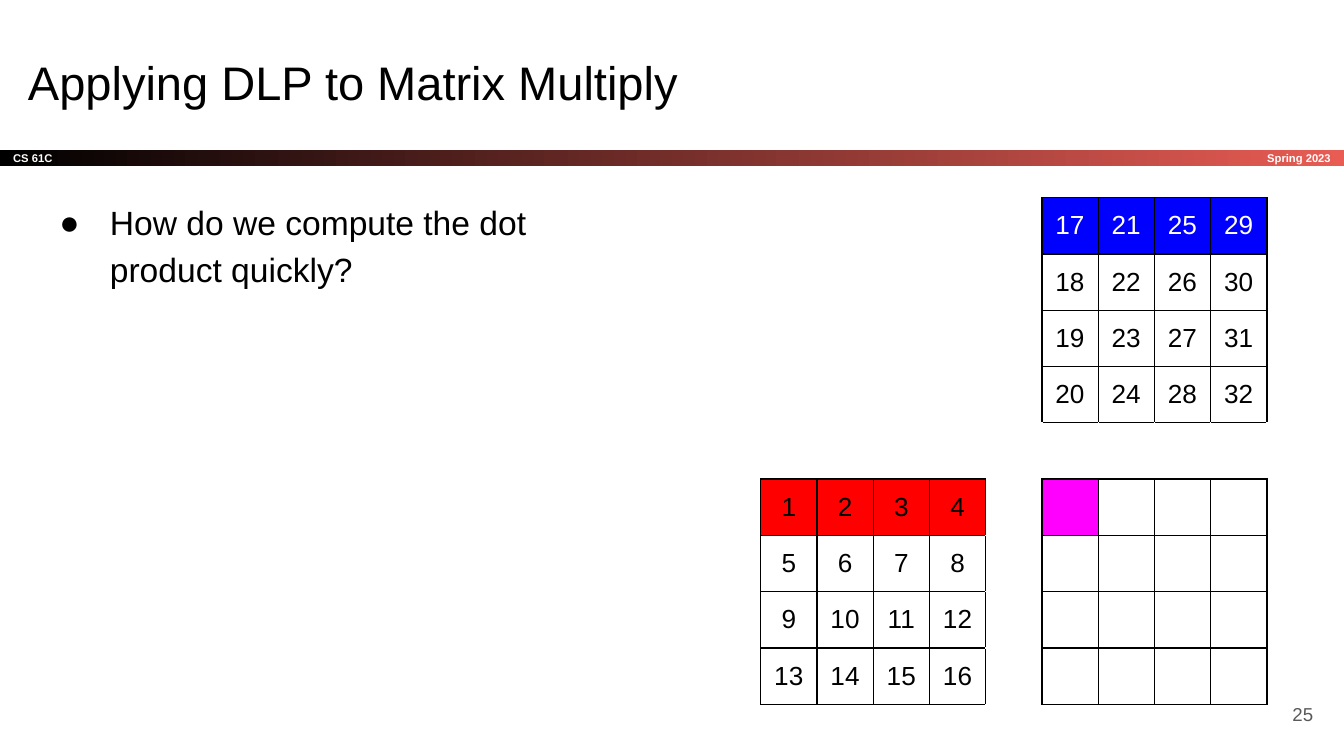
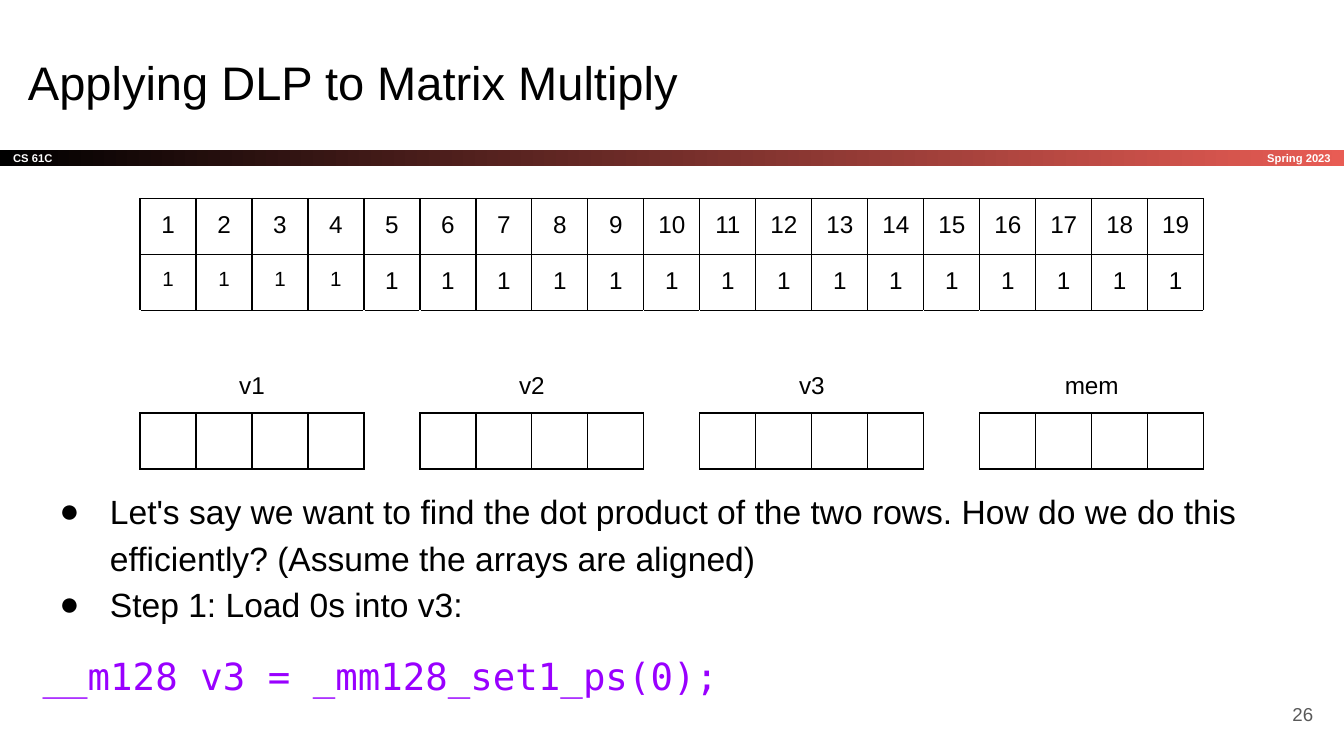
from lxml import etree
from pptx import Presentation
from pptx.dml.color import RGBColor
from pptx.enum import shapes, text
from pptx.oxml import ns
from pptx.util import Pt

hue = RGBColor.from_string
SANS, MONO = "Arial", "DejaVu Sans Mono"
BLACK, WHITE, CORAL, GREY = "000000", "FFFFFF", "E85C54", "595959"
BLUE, RED, PINK, PURPLE = "0000FF", "FF0000", "FF00FF", "9900FF"
LEFT, MID, RIGHT = text.PP_ALIGN.LEFT, text.PP_ALIGN.CENTER, text.PP_ALIGN.RIGHT
TOP, CORE, LOW = text.MSO_ANCHOR.TOP, text.MSO_ANCHOR.MIDDLE, text.MSO_ANCHOR.BOTTOM


def write(para, words, size, color=BLACK, align=LEFT, font=SANS, bold=False):
    para.alignment = align
    run = para.add_run()
    run.text = words
    run.font.name = font
    run.font.size = Pt(size)
    run.font.bold = bold
    run.font.color.rgb = hue(color)


def grid(slide, x, y, wide, highs, data, size, fills, inks):
    rows, cols = len(data), len(data[0])
    table = slide.shapes.add_table(
        rows, cols, Pt(x), Pt(y), Pt(wide * cols), Pt(sum(highs))).table
    table.first_row = table.horz_banding = False
    for col in table.columns:
        col.width = Pt(wide)
    for row, high in zip(table.rows, highs):
        row.height = Pt(high)
    boxed = {(r, c) for r in range(rows) for c in range(cols)
             if data[r][c] is not None}
    sides = {"lnL": (0, -1), "lnR": (0, 1), "lnT": (-1, 0), "lnB": (1, 0)}
    for r in range(rows):
        for c in range(cols):
            cell = table.cell(r, c)
            props = cell._tc.get_or_add_tcPr()
            for side, (down, over) in sides.items():
                edge = boxed & {(r, c), (r + down, c + over)}
                line = etree.SubElement(props, ns.qn("a:" + side), w=str(Pt(0.75)))
                solid = etree.SubElement(line, ns.qn("a:solidFill"))
                etree.SubElement(solid, ns.qn("a:srgbClr"), val=BLACK if edge else WHITE)
            if (r, c) in fills:
                cell.fill.solid()
                cell.fill.fore_color.rgb = hue(fills[r, c])
            else:
                cell.fill.background()
            pad = Pt(7.2) if data[r][c] else 0
            cell.margin_left = cell.margin_right = pad
            cell.margin_top = cell.margin_bottom = pad
            if data[r][c]:
                small = size - 2 if (r, c) in inks.get("small", ()) else size
                ink = WHITE if (r, c) in inks.get("white", ()) else BLACK
                write(cell.text_frame.paragraphs[0], data[r][c], small, ink, MID)
    return table


deck = Presentation()
deck.slide_width, deck.slide_height = Pt(720), Pt(405)
pages = [
    (25, (15.8, 97.9, 334, 296.6), ["How do we compute the dot product quickly?"], None),
    (26, (15.8, 252.7, 671, 141.8),
     ["Let's say we want to find the dot product of the two rows. "
      "How do we do this efficiently? (Assume the arrays are aligned)",
      "Step 1: Load 0s into v3:"],
     "__m128 v3 = _mm128_set1_ps(0);"),
]

for num, place, points, code in pages:
    slide = deck.slides.add_slide(deck.slide_layouts[6])
    band = slide.shapes.add_shape(
        shapes.MSO_SHAPE.RECTANGLE, 0, Pt(80.2), Pt(720), Pt(8.64))
    band.shadow.inherit = False
    band.line.fill.background()
    band.fill.gradient()
    band.fill.gradient_angle = 0
    for stop, spot, color in zip(band.fill.gradient_stops, (0, 1), (BLACK, CORAL)):
        stop.position = spot
        stop.color.rgb = hue(color)

    term, title, body, page = [
        slide.shapes.add_textbox(*map(Pt, box)) for box in (
            (600.5, 80.2, 119.5, 8.64), (7.9, 21.6, 671, 45.4),
            place, (667.4, 367.2, 43.2, 31))]
    for shape, anchor, pad in (
            (band, CORE, 0), (term, CORE, 0), (title, TOP, 7.2),
            (body, TOP, 7.2), (page, CORE, 7.2)):
        frame = shape.text_frame
        frame.word_wrap = True
        frame.auto_size = text.MSO_AUTO_SIZE.NONE
        frame.vertical_anchor = anchor
        frame.margin_left = frame.margin_right = Pt(7.2)
        frame.margin_top = frame.margin_bottom = Pt(pad)
    for shape, words, size, color, align, bold in (
            (band, "CS 61C", 6, WHITE, LEFT, True),
            (term, "Spring 2023", 6, WHITE, RIGHT, True),
            (title, "Applying DLP to Matrix Multiply", 25.2, BLACK, LEFT, False),
            (page, str(num), 10, GREY, RIGHT, False)):
        write(shape.text_frame.paragraphs[0], words, size, color, align, bold=bold)

    frame = body.text_frame
    for i, point in enumerate(points):
        para = frame.add_paragraph() if i else frame.paragraphs[0]
        props = para._p.get_or_add_pPr()
        props.set("marL", str(Pt(36)))
        props.set("indent", str(Pt(-27)))
        tint = etree.SubElement(props, ns.qn("a:buClr"))
        etree.SubElement(tint, ns.qn("a:srgbClr"), val=BLACK)
        etree.SubElement(props, ns.qn("a:buFont"), typeface=SANS)
        etree.SubElement(props, ns.qn("a:buChar"), char="●")
        para.line_spacing = 1.15
        write(para, point, 18)
    if code:
        para = frame.add_paragraph()
        para.line_spacing = 1.15
        para.space_before = para.space_after = Pt(12)
        write(para, code, 20, PURPLE, font=MONO)

first, second = deck.slides

four = range(4)
data = [[None] * 5 + [str(17 + r + 4 * c) for c in four] for r in four]
data += [[None] * 9]
data += [[str(1 + 4 * r + c) for c in four] + [None] + [""] * 4 for r in four]
fills = {(5, c): RED for c in four}
fills.update({(0, 5 + c): BLUE for c in four})
fills[5, 5] = PINK
grid(first, 407.5, 105.9, 30.15, [30.1] * 9, data, 14, fills,
     {"white": [(0, 5 + c) for c in four]})

names = ["v1", "v2", "v3", "mem"]
data = [[str(n) for n in range(1, 20)], ["1"] * 19, [None] * 19,
        [None if c % 5 == 4 else "" for c in range(19)]]
table = grid(second, 75, 106.3, 30, [30, 30, 55, 30], data, 13, {},
             {"small": [(1, c) for c in four]})
for i, name in enumerate(names):
    cell = table.cell(2, 5 * i)
    cell.merge(table.cell(2, 5 * i + 3))
    cell.vertical_anchor = LOW
    cell.margin_bottom = Pt(7.2)
    write(cell.text_frame.paragraphs[0], name, 13, align=MID)

deck.save("out.pptx")
